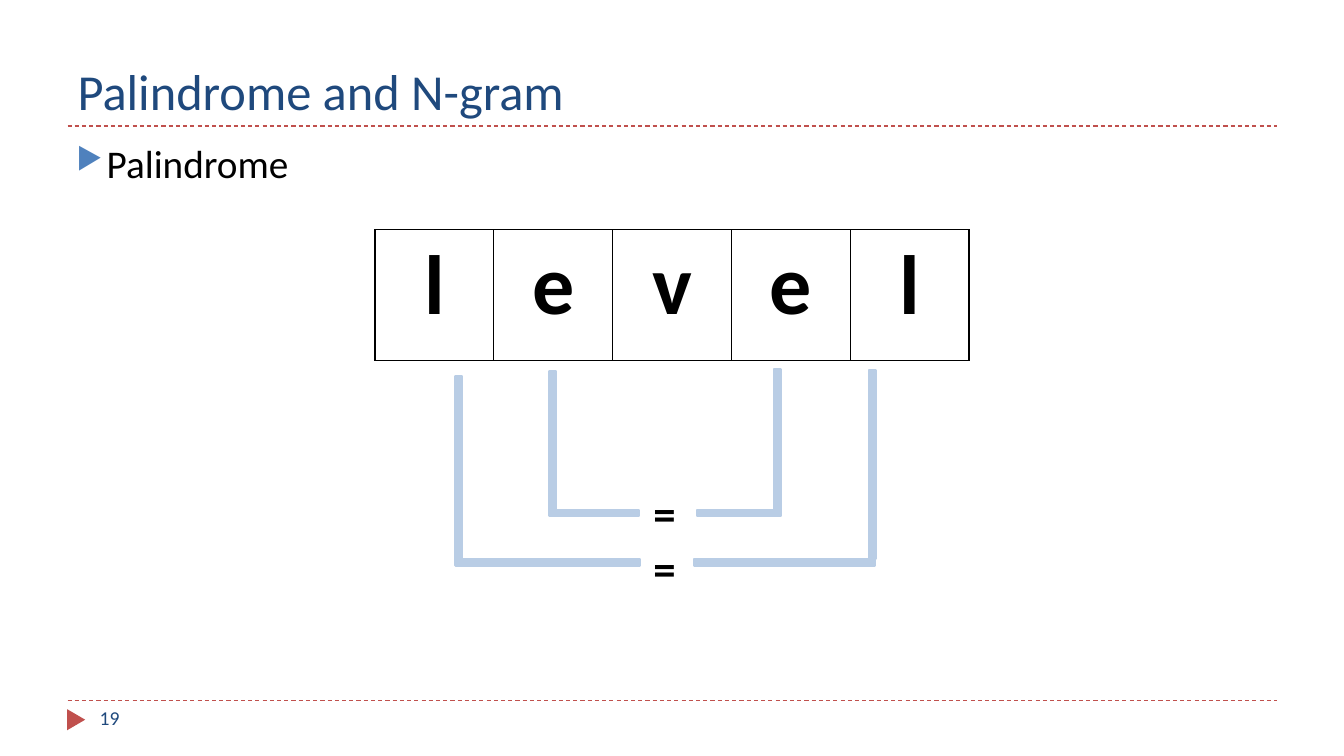
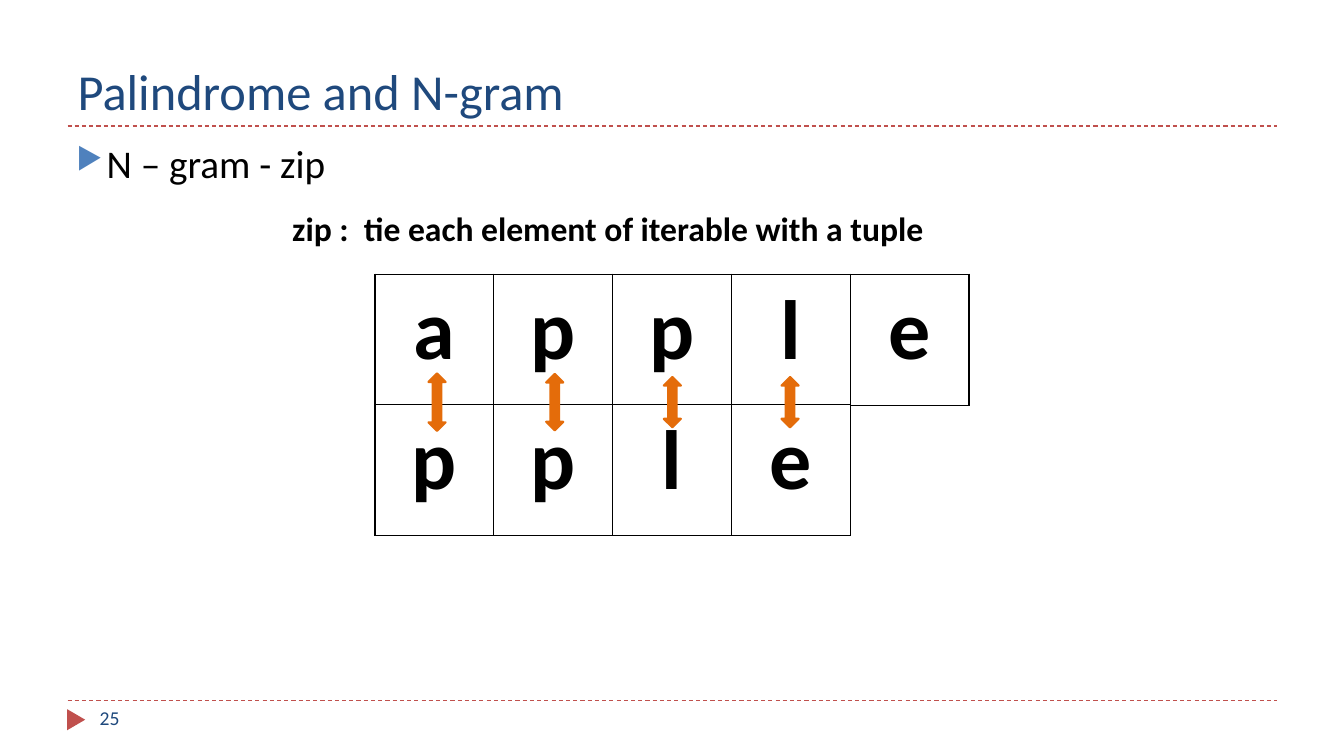
import dataclasses
import typing

import lxml.etree
import pptx
import pptx.dml.color
import pptx.enum.dml
import pptx.enum.shapes
import pptx.enum.text
import pptx.oxml.ns
import pptx.util

Inches = pptx.util.Inches
SHAPE = pptx.enum.shapes.MSO_SHAPE
ALIGN = pptx.enum.text.PP_ALIGN
qn = pptx.oxml.ns.qn


@dataclasses.dataclass(frozen=True)
class Theme:
    """Colours, font and type sizes of the deck."""
    font: str = "Calibri"
    ink: str = "000000"
    paper: str = "FFFFFF"
    navy: str = "1F497D"
    red: str = "C0504D"
    bullet: str = "4F81BD"
    bracket: str = "B9CDE5"
    arrow: str = "E46C0A"
    title_size: int = 36
    body_size: int = 28
    caption_size: int = 24
    equals_size: int = 32
    letter_size: int = 60
    number_size: int = 14


class Box(typing.NamedTuple):
    """Left, top, width and height in inches."""
    left: float
    top: float
    width: float
    height: float

    def emu(self) -> list[int]:
        """Return the four lengths as Inches."""
        return [Inches(v) for v in self]


class Bar(typing.NamedTuple):
    """One straight part of a bracket and its rotation."""
    box: Box
    rotation: int


THEME = Theme()
TITLE = "Palindrome and N-gram"
TITLE_BOX = Box(0.67, 0.17, 12, 1.08)
BODY_BOX = Box(0.66, 1.33, 12, 5.4)
NUMBER_BOX = Box(0.89, 6.95, 2.89, 0.4)
MARKER_BOX = Box(0.65, 7.05, 0.21, 0.18)
RULE_TOPS = (1.25, 6.95)
TABLE_LEFT, CELL_WIDTH, CELL_HEIGHT = 3.72, 1.178, 1.3
BRACKET_BARS = (
    Bar(Box(3.27, 4.53, 2.56, 0.28), 90),
    Bar(Box(4.25, 5.45, 2.42, 0.26), 180),
    Bar(Box(7.37, 4.47, 2.56, 0.28), 90),
    Bar(Box(6.56, 5.45, 2.44, 0.26), 180),
    Bar(Box(4.5, 4.27, 1.96, 0.26), 90),
    Bar(Box(5.35, 4.96, 1.14, 0.26), 180),
    Bar(Box(6.73, 4.25, 1.96, 0.26), 90),
    Bar(Box(6.76, 4.96, 1.14, 0.26), 180),
)
EQUALS_TOPS = (4.77, 5.32)
ARROW_LEFT, ARROW_STEP, ARROW_WIDTH, ARROW_MIDDLE = 4.25, 1.167, 0.17, 3.99
ARROW_HEIGHTS = (0.57, 0.56, 0.5, 0.5)


def rgb(value: str) -> pptx.dml.color.RGBColor:
    """Turn a hex string into a colour."""
    return pptx.dml.color.RGBColor.from_string(value)


def apply(target: typing.Any, formats: dict[str, typing.Any]) -> None:
    """Set each named attribute of the target."""
    for name, value in formats.items():
        setattr(target, name, value)


def write(tf, text: str, size: int, color: str = THEME.ink,
          bold: bool = False, align=ALIGN.LEFT):
    """Write one formatted paragraph and return it."""
    p = tf.paragraphs[0]
    p.alignment = align
    r = p.add_run()
    r.text = text
    apply(r.font, {"name": THEME.font, "size": pptx.util.Pt(size), "bold": bold})
    r.font.color.rgb = rgb(color)
    return p


def add_text(slide, box: Box, text: str, size: int, **style):
    """Add a wrapping text box and return its paragraph."""
    tf = slide.shapes.add_textbox(*box.emu()).text_frame
    tf.word_wrap = True
    return write(tf, text, size, **style)


def add_figure(slide, kind, box: Box, color: str, rotation: int = 0,
               line_width: float = 0) -> None:
    """Add a flat preset shape, outlined in its own colour if asked."""
    sp = slide.shapes.add_shape(kind, *box.emu())
    sp.rotation = rotation
    sp.shadow.inherit = False
    sp.fill.solid()
    sp.fill.fore_color.rgb = rgb(color)
    if line_width:
        sp.line.color.rgb = rgb(color)
        sp.line.width = pptx.util.Pt(line_width)
    else:
        sp.line.fill.background()


def add_rule(slide, top: float) -> None:
    """Add a dashed rule across the slide."""
    left, right = TITLE_BOX.left, TITLE_BOX.left + TITLE_BOX.width
    cxn = slide.shapes.add_connector(
        pptx.enum.shapes.MSO_CONNECTOR.STRAIGHT,
        Inches(left), Inches(top), Inches(right), Inches(top))
    cxn.line.color.rgb = rgb(THEME.red)
    apply(cxn.line, {"width": pptx.util.Pt(0.75),
                     "dash_style": pptx.enum.dml.MSO_LINE.DASH})
    lxml.etree.SubElement(cxn._element.spPr, qn("a:effectLst"))


def add_bullet(p) -> None:
    """Give a paragraph the triangle bullet and hanging indent."""
    p.space_before = pptx.util.Pt(6)
    pPr = p._p.get_or_add_pPr()
    pPr.set("marL", str(Inches(0.3)))
    pPr.set("indent", str(Inches(-0.3)))
    color = lxml.etree.SubElement(pPr, qn("a:buClr"))
    lxml.etree.SubElement(color, qn("a:srgbClr"), val=THEME.bullet)
    lxml.etree.SubElement(pPr, qn("a:buSzPct"), val="76000")
    lxml.etree.SubElement(pPr, qn("a:buChar"), char="▶")


def add_borders(cell) -> None:
    """Draw a one-point line on every side of a cell."""
    tcPr = cell._tc.get_or_add_tcPr()
    for side in "LRTB":
        ln = lxml.etree.SubElement(tcPr, qn(f"a:ln{side}"),
                                   w=str(pptx.util.Pt(1)))
        fill = lxml.etree.SubElement(ln, qn("a:solidFill"))
        lxml.etree.SubElement(fill, qn("a:srgbClr"), val=THEME.ink)


def add_word(slide, word: str, top: float) -> None:
    """Add a one-row table with a letter in each cell."""
    box = Box(TABLE_LEFT, top, CELL_WIDTH * len(word), CELL_HEIGHT)
    table = slide.shapes.add_table(1, len(word), *box.emu()).table
    apply(table, {"first_row": False, "horz_banding": False})
    for column, letter in enumerate(word):
        table.columns[column].width = Inches(CELL_WIDTH)
        cell = table.cell(0, column)
        add_borders(cell)
        cell.fill.solid()
        cell.fill.fore_color.rgb = rgb(THEME.paper)
        write(cell.text_frame, letter, THEME.letter_size, bold=True,
              align=ALIGN.CENTER)


def add_slide(prs, number: int, topic: str):
    """Add a slide with the shared title, rules, footer and topic."""
    slide = prs.slides.add_slide(prs.slide_layouts[5])
    title = slide.shapes.title
    apply(title, dict(zip(("left", "top", "width", "height"),
                          TITLE_BOX.emu())))
    title.text_frame.vertical_anchor = pptx.enum.text.MSO_ANCHOR.BOTTOM
    write(title.text_frame, TITLE, THEME.title_size, THEME.navy)
    for top in RULE_TOPS:
        add_rule(slide, top)
    add_figure(slide, SHAPE.ISOSCELES_TRIANGLE, MARKER_BOX, THEME.red, 90)
    add_text(slide, NUMBER_BOX, str(number), THEME.number_size,
             color=THEME.navy)
    add_bullet(add_text(slide, BODY_BOX, topic, THEME.body_size))
    return slide


def build_palindrome(prs) -> None:
    """Show matching letters joined by brackets."""
    slide = add_slide(prs, 19, "Palindrome")
    add_word(slide, "level", 2.28)
    for bar in BRACKET_BARS:
        add_figure(slide, SHAPE.MATH_MINUS, bar.box, THEME.bracket,
                   bar.rotation, 1.5)
    for top in EQUALS_TOPS:
        add_text(slide, Box(5.09, top, 3, 0.64), "=", THEME.equals_size,
                 bold=True, align=ALIGN.CENTER)


def build_zip(prs) -> None:
    """Show two offset words paired letter by letter."""
    slide = add_slide(prs, 25, "N – gram - zip")
    add_text(slide, Box(2.8, 2.01, 7.9, 0.5),
             "zip :\u00a0\u00a0tie each element of iterable with a tuple",
             THEME.caption_size, bold=True)
    add_word(slide, "apple", 2.72)
    add_word(slide, "pple", 4.01)
    for i, height in enumerate(ARROW_HEIGHTS):
        box = Box(ARROW_LEFT + i * ARROW_STEP, ARROW_MIDDLE - height / 2,
                  ARROW_WIDTH, height)
        add_figure(slide, SHAPE.UP_DOWN_ARROW, box, THEME.arrow,
                   line_width=1.5)


def main() -> None:
    """Build and save the deck."""
    prs = pptx.Presentation()
    apply(prs, {"slide_width": Inches(13.33), "slide_height": Inches(7.5)})
    build_palindrome(prs)
    build_zip(prs)
    prs.save("out.pptx")


main()
